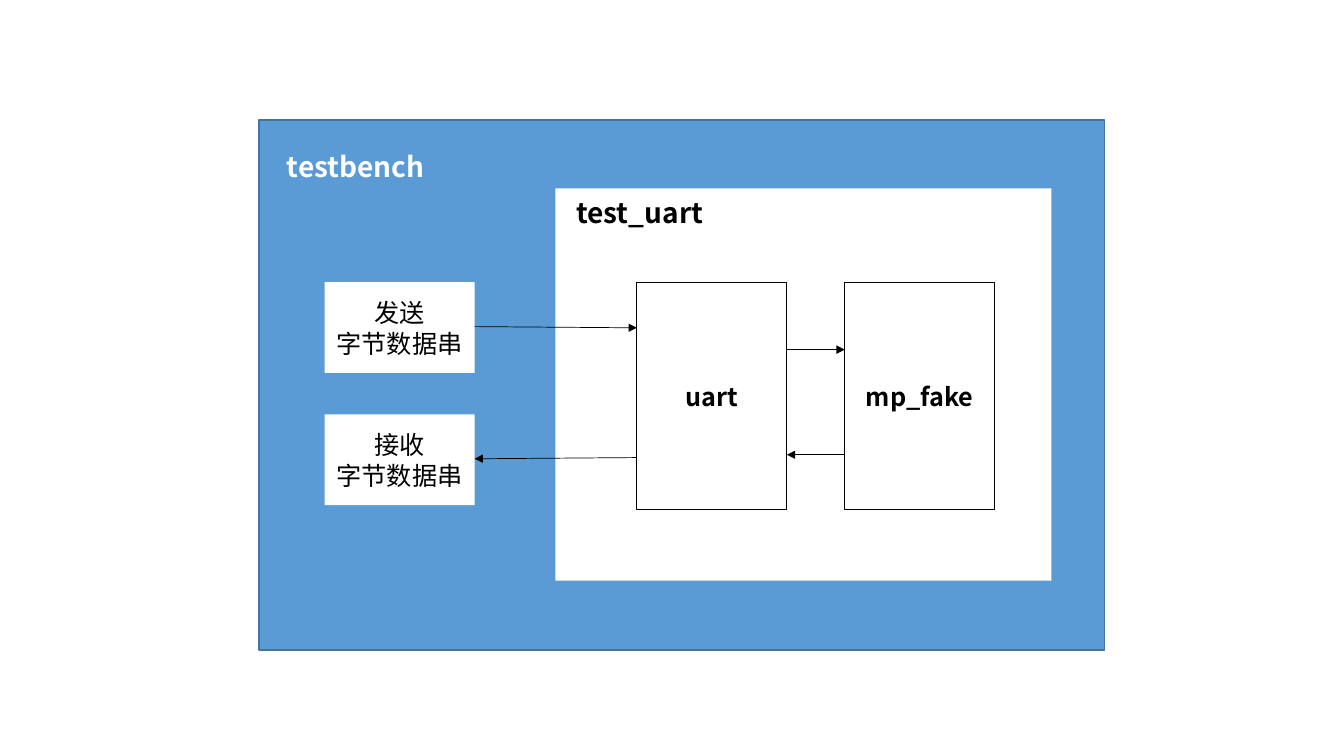
from lxml import etree
from pptx import Presentation
from pptx.dml.color import RGBColor
from pptx.enum.shapes import MSO_CONNECTOR, MSO_SHAPE
from pptx.enum.text import MSO_ANCHOR, PP_ALIGN
from pptx.oxml.ns import qn
from pptx.util import Cm, Pt

RECT = MSO_SHAPE.RECTANGLE
LINE = MSO_CONNECTOR.STRAIGHT
MID = MSO_ANCHOR.MIDDLE
TOP = MSO_ANCHOR.TOP
LEFT = PP_ALIGN.LEFT
CENTER = PP_ALIGN.CENTER

FONT = "Noto Sans CJK SC"
LEAD = 1.22
HEX = {"blue": "5B9BD5", "edge": "43739E", "white": "FFFFFF", "black": "000000"}

BOX_W = 3.78
BYTE_X, BYTE_H = 8.18, 2.29
CORE_Y, CORE_H = 7.11, 5.74
UART_X, FAKE_X = 16.05, 21.29
BYTE_END = BYTE_X + BOX_W
UART_END = UART_X + BOX_W


def color(name):
    return RGBColor.from_string(HEX[name])


def write(shape, lines, size, tint, bold, align, anchor):
    frame = shape.text_frame
    frame.word_wrap = True
    frame.vertical_anchor = anchor
    for i, line in enumerate(lines):
        para = frame.paragraphs[0] if i == 0 else frame.add_paragraph()
        para.alignment = align
        para.line_spacing = Pt(size * LEAD)
        run = para.add_run()
        run.text = line
        font = run.font
        font.name = FONT
        font.size = Pt(size)
        font.bold = bold
        font.color.rgb = color(tint)
        east = etree.SubElement(run._r.get_or_add_rPr(), qn("a:ea"))
        east.set("typeface", FONT)


def box(slide, x, y, w, h, fill=None, edge=None, width=0.75, lines=(), bold=False):
    shape = slide.shapes.add_shape(RECT, Cm(x), Cm(y), Cm(w), Cm(h))
    shape.shadow.inherit = False
    if fill:
        shape.fill.solid()
        shape.fill.fore_color.rgb = color(fill)
    else:
        shape.fill.background()
    if edge:
        shape.line.color.rgb = color(edge)
        shape.line.width = Pt(width)
    else:
        shape.line.fill.background()
    write(shape, lines, 18, "black", bold, CENTER, MID)


def label(slide, x, y, text, tint):
    shape = slide.shapes.add_textbox(Cm(x), Cm(y), Cm(4.95), Cm(1.12))
    write(shape, [text], 20, tint, True, LEFT, TOP)


def arrow(slide, x1, y1, x2, y2):
    link = slide.shapes.add_connector(LINE, Cm(x1), Cm(y1), Cm(x2), Cm(y2))
    link.line.color.rgb = color("black")
    link.line.width = Pt(0.5)
    tail = etree.SubElement(link.line._get_or_add_ln(), qn("a:tailEnd"))
    tail.set("type", "triangle")
    etree.SubElement(link._element.spPr, qn("a:effectLst"))


def main():
    deck = Presentation()
    deck.slide_width, deck.slide_height = Cm(33.87), Cm(19.05)
    slide = deck.slides.add_slide(deck.slide_layouts[6])

    box(slide, 6.53, 3.02, 21.31, 13.36, "blue", "edge", 1)
    label(slide, 6.98, 3.63, "testbench", "white")
    for y, verb in ((CORE_Y, "发送"), (10.44, "接收")):
        box(slide, BYTE_X, y, BOX_W, BYTE_H, "white", lines=(verb, "字节数据串"))

    box(slide, 14, 4.75, 12.5, 9.88, "white")
    label(slide, 14.27, 4.78, "test_uart", "black")
    for x, name in ((UART_X, "uart"), (FAKE_X, "mp_fake")):
        box(slide, x, CORE_Y, BOX_W, CORE_H, edge="black", lines=(name,), bold=True)

    arrow(slide, UART_END, 8.81, FAKE_X, 8.81)
    arrow(slide, FAKE_X, 11.46, UART_END, 11.46)
    arrow(slide, BYTE_END, 8.23, UART_X, 8.26)
    arrow(slide, UART_X, 11.53, BYTE_END, 11.56)

    deck.save("out.pptx")


if __name__ == "__main__":
    main()
